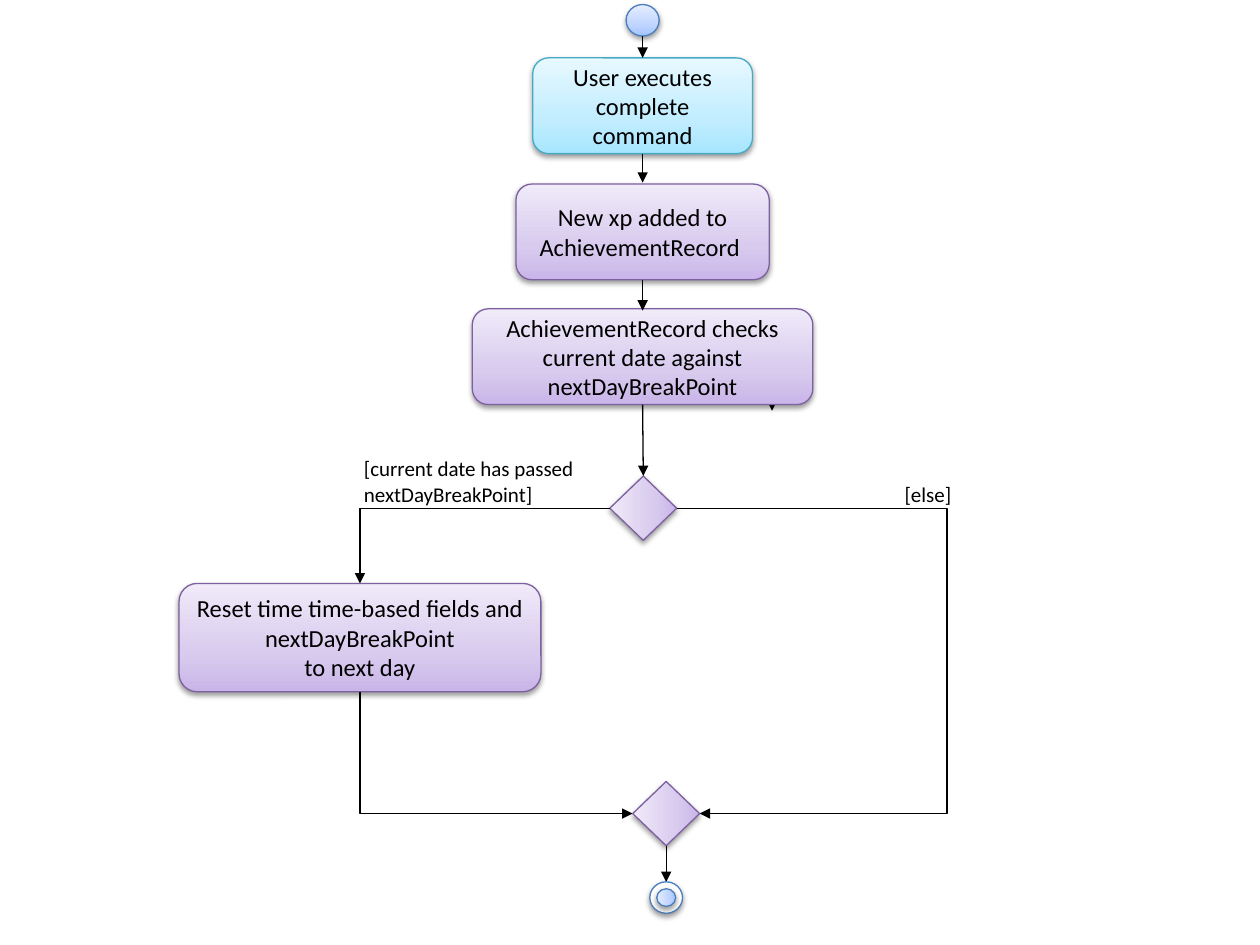
from lxml import etree
from pptx import Presentation
from pptx.dml.color import RGBColor
from pptx.enum.shapes import MSO_CONNECTOR, MSO_SHAPE
from pptx.enum.text import MSO_ANCHOR, MSO_AUTO_SIZE, PP_ALIGN
from pptx.oxml import parse_xml
from pptx.oxml.ns import nsdecls, qn
from pptx.util import Pt

FONT = "Calibri"
BLACK = "000000"
# Each palette: outline colour, then gradient stops at 0, 35 and 100 %
BLUE = ("4B7EBC", ("A4C4FF", "BFD4FF", "E6EEFF"))
CYAN = ("46AAC5", ("A7E6FF", "C1EDFF", "E7F8FF"))
PURPLE = ("7D60A0", ("C9B5E8", "D8CBEE", "F0EAF9"))

FLOW_X = 367.2       # centre of the upper flow
MERGE_X = 380.7      # centre of the merge diamond and end node
BRANCH_X = 205.7     # centre of the left branch
ELSE_X = 541.3       # vertical run of the right branch
DECISION_Y, MERGE_Y = 290.4, 464.9
BOX_HEIGHT = 54.7


def color(hex_code):
    return RGBColor.from_string(hex_code)


def add_gradient(shape, stops):
    stop_xml = "".join(
        f'<a:gs pos="{pos}"><a:srgbClr val="{value}"/></a:gs>'
        for pos, value in zip((0, 35000, 100000), stops))
    gradient = parse_xml(
        f'<a:gradFill {nsdecls("a")} rotWithShape="1"><a:gsLst>{stop_xml}</a:gsLst>'
        '<a:lin ang="16200000" scaled="0"/></a:gradFill>')
    shape._element.spPr.find(qn("a:prstGeom")).addnext(gradient)


def add_shadow(shape):
    shape.shadow.inherit = False
    effects = shape._element.spPr.find(qn("a:effectLst"))
    effects.append(parse_xml(
        f'<a:outerShdw {nsdecls("a")} blurRad="{Pt(3.1)}" dist="{Pt(1.6)}" '
        'dir="5400000" rotWithShape="0"><a:srgbClr val="000000">'
        '<a:alpha val="38000"/></a:srgbClr></a:outerShdw>'))


def add_node(shapes, kind, center_x, center_y, width, height, palette,
             rotation=0, solid=None):
    node = shapes.add_shape(kind, Pt(center_x - width / 2), Pt(center_y - height / 2),
                            Pt(width), Pt(height))
    outline, stops = palette
    node.line.color.rgb = color(outline)
    node.line.width = Pt(0.75)
    if solid:
        node.fill.solid()
        node.fill.fore_color.rgb = color(solid)
    else:
        add_gradient(node, stops)
    add_shadow(node)
    node.rotation = rotation
    return node


def write_text(frame, paragraphs, size, align):
    frame.word_wrap = True
    for index, text in enumerate(paragraphs):
        paragraph = frame.add_paragraph() if index else frame.paragraphs[0]
        paragraph.alignment = align
        run = paragraph.add_run()
        run.text = text
        run.font.name = FONT
        run.font.size = Pt(size)
        run.font.color.rgb = color(BLACK)


def add_action(slide, center_x, top, width, height, palette, *paragraphs):
    box = add_node(slide.shapes, MSO_SHAPE.ROUNDED_RECTANGLE, center_x,
                   top + height / 2, width, height, palette)
    box.text_frame.vertical_anchor = MSO_ANCHOR.MIDDLE
    write_text(box.text_frame, paragraphs, 14, PP_ALIGN.CENTER)


def add_diamond(slide, center_x, center_y):
    add_node(slide.shapes, MSO_SHAPE.DIAMOND, center_x, center_y, 36.7, 38.2,
             PURPLE, rotation=270)


def add_guard(slide, left, top, width, height, text):
    box = slide.shapes.add_textbox(Pt(left), Pt(top), Pt(width), Pt(height))
    write_text(box.text_frame, [text], 12, PP_ALIGN.LEFT)
    box.text_frame.auto_size = MSO_AUTO_SIZE.SHAPE_TO_FIT_TEXT


def add_arrow(slide, x1, y1, x2, y2, kind=MSO_CONNECTOR.STRAIGHT):
    arrow = slide.shapes.add_connector(kind, Pt(x1), Pt(y1), Pt(x2), Pt(y2))
    arrow.line.color.rgb = color(BLACK)
    arrow.line.width = Pt(0.75)
    etree.SubElement(arrow.line._get_or_add_ln(), qn("a:tailEnd"), type="triangle")
    etree.SubElement(arrow._element.spPr, qn("a:effectLst"))
    return arrow


def add_corner_arrow(slide, x1, y1, x2, y2, down_first=False):
    """One-bend arrow; runs sideways first unless down_first is set."""
    if down_first:
        # A quarter turn about the centre swaps the two legs
        mid_x, mid_y = (x1 + x2) / 2, (y1 + y2) / 2
        half_w, half_h = (y2 - y1) / 2, (x2 - x1) / 2
        x1, x2 = mid_x + half_w, mid_x - half_w
        y1, y2 = mid_y - half_h, mid_y + half_h
    arrow = add_arrow(slide, x1, y1, x2, y2, MSO_CONNECTOR.ELBOW)
    properties = arrow._element.spPr
    properties.find(qn("a:prstGeom")).set("prst", "bentConnector2")
    if down_first:
        properties.find(qn("a:xfrm")).set("rot", "16200000")


def add_detour_arrow(slide, x1, y1, x2, y2, via_x):
    """Two-bend arrow whose vertical leg stands at via_x."""
    arrow = add_arrow(slide, x1, y1, x2, y2, MSO_CONNECTOR.ELBOW)
    geometry = arrow._element.spPr.find(qn("a:prstGeom"))
    guides = geometry.find(qn("a:avLst"))
    ratio = round((via_x - x1) / (x2 - x1) * 100000)
    etree.SubElement(guides, qn("a:gd"), name="adj1", fmla=f"val {ratio}")


def add_end_node(slide, center_x, center_y):
    group = slide.shapes.add_group_shape()
    add_node(group.shapes, MSO_SHAPE.OVAL, center_x, center_y, 18, 18.7, BLUE,
             rotation=270, solid="FFFFFF")
    add_node(group.shapes, MSO_SHAPE.OVAL, center_x, center_y, 10.1, 10.8, BLUE,
             rotation=270)


def main():
    presentation = Presentation()
    presentation.slide_width, presentation.slide_height = Pt(720), Pt(540)
    slide = presentation.slides.add_slide(presentation.slide_layouts[6])

    # Start and main flow
    add_node(slide.shapes, MSO_SHAPE.OVAL, FLOW_X, 11.6, 18.9, 18, BLUE)
    add_corner_arrow(slide, 459.4, 198, 441.2, 234.7)
    for top, width, palette, text in (
            (33.1, 125.6, CYAN, "User executes complete command"),
            (105.2, 144.7, PURPLE, "New xp added to AchievementRecord "),
            (176.5, 194.6, PURPLE, "AchievementRecord checks current date "
                                   "against nextDayBreakPoint")):
        add_action(slide, FLOW_X, top, width, BOX_HEIGHT, palette, text)
    for start, end in ((20.5, 33.1), (87.8, 104.4), (159.9, 177.5)):
        add_arrow(slide, FLOW_X, start, FLOW_X, end)

    # Decision and its guards
    add_diamond(slide, 367.6, DECISION_Y)
    add_arrow(slide, FLOW_X, 231.2, 367.6, 272)
    add_guard(slide, 200.9, 257, 153.4, 35.3,
              "[current date has passed nextDayBreakPoint]")
    add_guard(slide, 509.8, 271.4, 68.4, 20.9, "[else]")

    # Left branch
    add_corner_arrow(slide, 348.5, DECISION_Y, BRANCH_X, 333.4)
    add_action(slide, BRANCH_X, 333.4, 206.8, 61.9, PURPLE,
               "Reset time time-based fields and nextDayBreakPoint", "to next day")
    add_corner_arrow(slide, BRANCH_X, 395.3, 361.5, MERGE_Y, down_first=True)

    # Right branch
    add_detour_arrow(slide, 386.7, DECISION_Y, 399.8, MERGE_Y, ELSE_X)

    # Merge and end
    add_diamond(slide, MERGE_X, MERGE_Y)
    add_arrow(slide, MERGE_X, 483.2, MERGE_X, 504)
    add_end_node(slide, MERGE_X, 512.9)

    presentation.save("out.pptx")


main()
